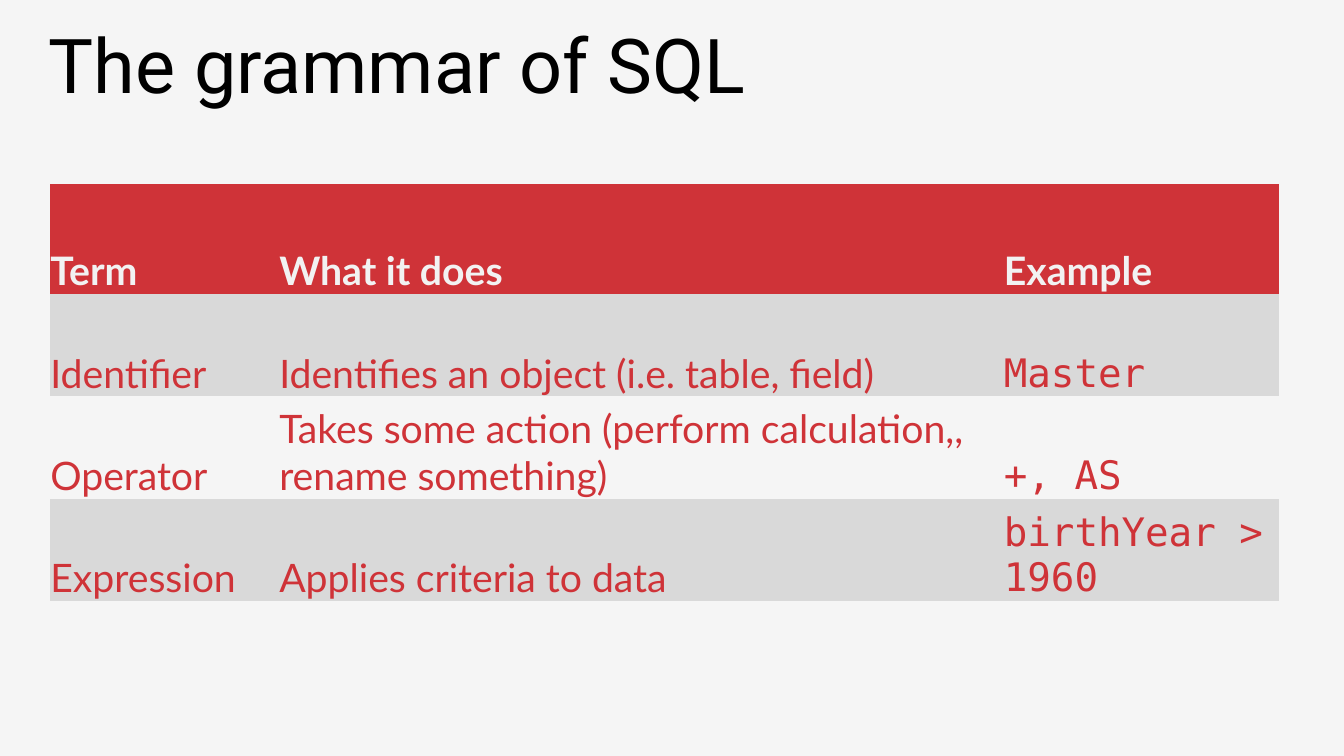
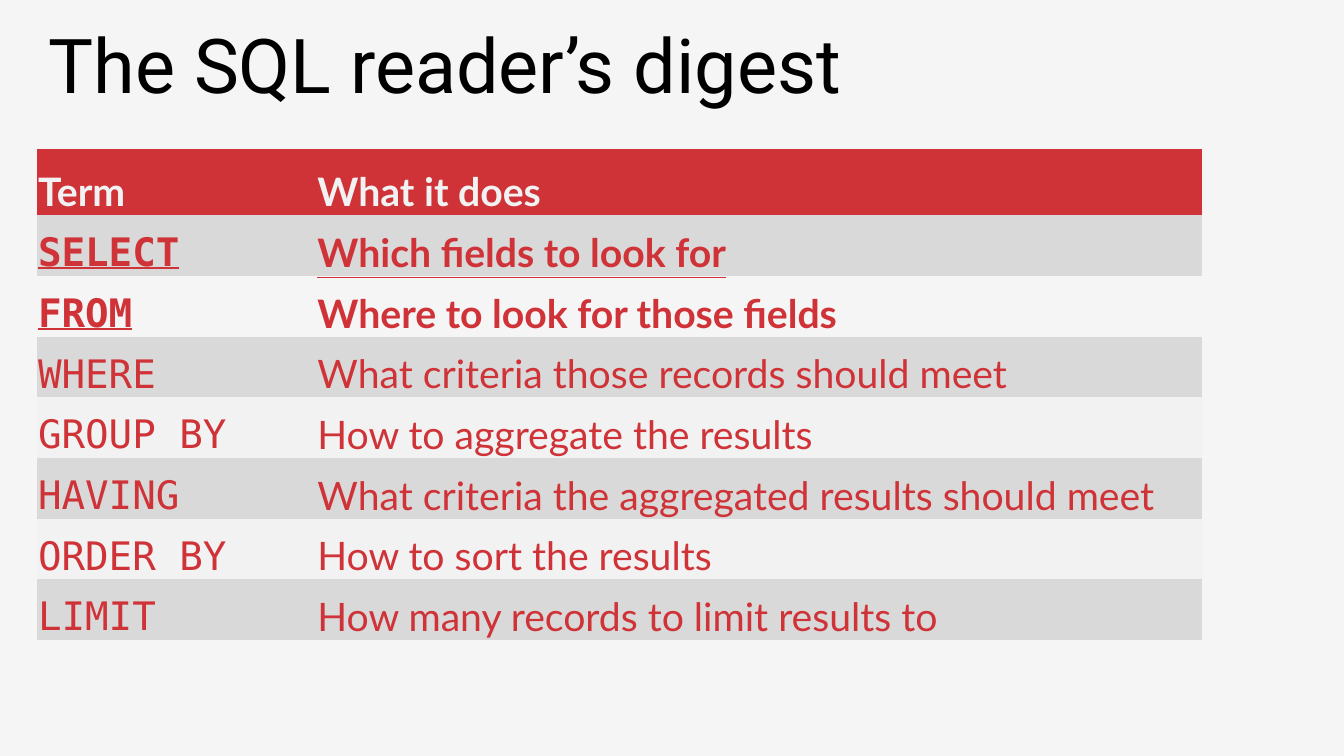
import pptx
import pptx.dml.color
import pptx.enum.text
import pptx.util

Cm = pptx.util.Cm
COLOURS = {
    "page": "F5F5F5",
    "title": "000000",
    "accent": "CF3338",
    "light": "F2F2F2",
    "band": "D9D9D9",
}
TITLE_FONT, BODY_FONT, CODE_FONT = "Roboto", "Lato", "DejaVu Sans Mono"
TITLE_BOX = (0.97, 0.3, 31.8, 2.57)
PLAIN_TABLE_STYLE = "{2D5ABB26-0587-4C30-8999-92F81FD0307C}"

GRAMMAR = [
    ("Term", "What it does", "Example"),
    ("Identifier", "Identifies an object (i.e. table, field)", "Master"),
    ("Operator", "Takes some action (perform calculation,, rename something)", "+, AS"),
    ("Expression", "Applies criteria to data", "birthYear > 1960"),
]
DIGEST = [
    ("Term", "What it does"),
    ("SELECT", "Which fields to look for"),
    ("FROM", "Where to look for those fields"),
    ("WHERE", "What criteria those records should meet"),
    ("GROUP BY", "How to aggregate the results"),
    ("HAVING", "What criteria the aggregated results should meet"),
    ("ORDER BY", "How to sort the results"),
    ("LIMIT", "How many records to limit results to"),
]


def rgb(name):
    """Return the named colour."""
    return pptx.dml.color.RGBColor.from_string(COLOURS[name])


def write(frame, text, font=BODY_FONT, size=28, colour="accent", bold=False, underline=False):
    """Write one left-aligned paragraph in the given format."""
    paragraph = frame.paragraphs[0]
    paragraph.alignment = pptx.enum.text.PP_ALIGN.LEFT
    run = paragraph.add_run()
    run.text = text
    run.font.name = font
    run.font.size = pptx.util.Pt(size)
    run.font.color.rgb = rgb(colour)
    run.font.bold = bold
    run.font.underline = underline


def prepare_layout(deck):
    """Set the shared background and title box, and return the layout."""
    background = deck.slide_master.background.fill
    background.solid()
    background.fore_color.rgb = rgb("page")
    layout = deck.slide_layouts.get_by_name("Title Only")
    title = layout.placeholders[0]
    title.left, title.top, title.width, title.height = map(Cm, TITLE_BOX)
    title.text_frame.vertical_anchor = pptx.enum.text.MSO_ANCHOR.MIDDLE
    title.text_frame.auto_size = pptx.enum.text.MSO_AUTO_SIZE.NONE
    return layout


def fill_cell(cell, text, fill, **text_format):
    """Fill one table cell and set its text at the bottom."""
    if fill:
        cell.fill.solid()
        cell.fill.fore_color.rgb = rgb(fill)
    else:
        cell.fill.background()
    cell.margin_left = cell.margin_right = cell.margin_top = Cm(0.02)
    cell.margin_bottom = 0
    cell.vertical_anchor = pptx.enum.text.MSO_ANCHOR.BOTTOM
    write(cell.text_frame, text, **text_format)


def add_terms(slide, terms, left, top, widths, header_height, row_height,
              code_column, required=(), pale=()):
    """Add a banded table of terms, stressing the required rows."""
    heights = [header_height] + [row_height] * (len(terms) - 1)
    frame = slide.shapes.add_table(len(terms), len(widths), Cm(left), Cm(top),
                                   Cm(sum(widths)), Cm(sum(heights)))
    table = frame.table
    table.first_row = table.horz_banding = False
    table._tbl.tblPr.find(pptx.oxml.ns.qn("a:tableStyleId")).text = PLAIN_TABLE_STYLE
    for column, width in zip(table.columns, widths):
        column.width = Cm(width)
    for row, (height, entries) in enumerate(zip(heights, terms)):
        table.rows[row].height = Cm(height)
        for column, text in enumerate(entries):
            cell = table.cell(row, column)
            if row == 0:
                fill_cell(cell, text, "accent", colour="light", bold=True)
                continue
            fill = "band" if row % 2 else "light" if row in pale else None
            font = CODE_FONT if column == code_column else BODY_FONT
            stressed = row in required
            fill_cell(cell, text, fill, font=font, bold=stressed, underline=stressed)


def add_terms_slide(deck, layout, title, terms, **placing):
    """Add a slide with a title above a table of terms."""
    slide = deck.slides.add_slide(layout)
    write(slide.shapes.title.text_frame, title, font=TITLE_FONT, size=54, colour="title")
    add_terms(slide, terms, **placing)


def main():
    """Build and save the deck."""
    deck = pptx.Presentation()
    deck.slide_width, deck.slide_height = Cm(33.87), Cm(19.05)
    layout = prepare_layout(deck)
    add_terms_slide(deck, layout, "The grammar of SQL", GRAMMAR,
                    left=1.25, top=4.63, widths=(5.77, 18.26, 6.96),
                    header_height=2.78, row_height=2.58, code_column=2)
    add_terms_slide(deck, layout, "The SQL reader’s digest", DIGEST,
                    left=0.94, top=3.76, widths=(7.04, 22.3),
                    header_height=1.66, row_height=1.53, code_column=0,
                    required=(1, 2), pale=(4, 6))
    deck.save("out.pptx")


if __name__ == "__main__":
    main()
